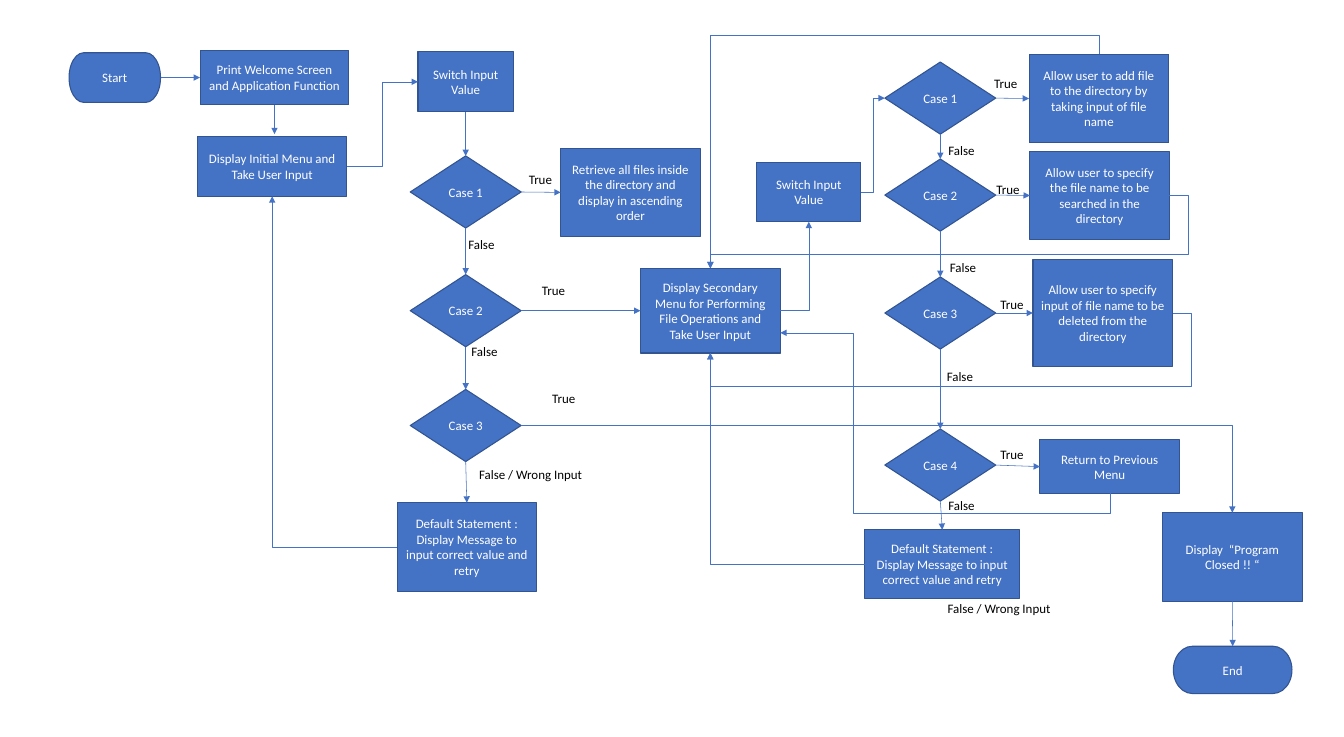
from lxml import etree
from pptx import Presentation
from pptx.dml.color import RGBColor
from pptx.enum.shapes import MSO_CONNECTOR, MSO_SHAPE
from pptx.enum.text import MSO_ANCHOR, PP_ALIGN
from pptx.oxml.ns import qn
from pptx.util import Inches, Pt

RECTANGLE = MSO_SHAPE.RECTANGLE
PROCESS = MSO_SHAPE.FLOWCHART_PROCESS
DECISION = MSO_SHAPE.FLOWCHART_DECISION
TERMINATOR = MSO_SHAPE.FLOWCHART_TERMINATOR
STRAIGHT, ELBOW = MSO_CONNECTOR.STRAIGHT, MSO_CONNECTOR.ELBOW
MIDDLE, CENTER, LEFT_ALIGNED = MSO_ANCHOR.MIDDLE, PP_ALIGN.CENTER, PP_ALIGN.LEFT
TOP, LEFT, BOTTOM, RIGHT = range(4)
BLUE, OUTLINE, WHITE, BLACK = "4472C4", "325491", "FFFFFF", "000000"
LEFT_CASES, RIGHT_CASES = 5.29, 11.41
CASE_WIDTH, CASE_HEIGHT = 1.43, 0.93
BOX_WIDTH, BOX_HEIGHT = 1.8, 1.14


def color(hex_value):
    return RGBColor.from_string(hex_value)


def write(shape, text, hex_value, alignment):
    shape.text_frame.text = text
    for paragraph in shape.text_frame.paragraphs:
        paragraph.alignment = alignment
        for run in paragraph.runs:
            run.font.name = "Calibri"
            run.font.size = Pt(12)
            run.font.color.rgb = color(hex_value)


presentation = Presentation()
presentation.slide_width = Inches(17.33)
presentation.slide_height = Inches(9.5)
slide = presentation.slides.add_slide(presentation.slide_layouts[6])

retry_text = "Default Statement : Display Message to input correct value and retry"
steps = [
    ("start", TERMINATOR, 0.89, 0.68, 1.18, 0.64, "Start"),
    ("welcome", RECTANGLE, 2.58, 0.65, 1.92, 0.7, "Print Welcome Screen and Application Function"),
    ("menu", RECTANGLE, 2.55, 1.76, 1.92, 0.77, "Display Initial Menu and Take User Input"),
    ("switch", RECTANGLE, 5.39, 0.67, 1.23, 0.77, "Switch Input\nValue"),
    ("retrieve", PROCESS, 7.23, 1.91, BOX_WIDTH, BOX_HEIGHT,
     "Retrieve all files inside the directory and display in ascending order"),
    ("retry", PROCESS, 5.12, 6.48, BOX_WIDTH, BOX_HEIGHT, retry_text),
    ("closed", PROCESS, 14.99, 6.61, BOX_WIDTH, BOX_HEIGHT, "Display  “Program Closed !! “"),
    ("end", TERMINATOR, 15.13, 8.33, 1.53, 0.61, "End"),
    ("file menu", PROCESS, 8.26, 3.46, BOX_WIDTH, 1.09,
     "Display Secondary Menu for Performing File Operations and Take User Input"),
    ("file switch", RECTANGLE, 9.76, 2.09, 1.34, 0.77, "Switch Input\nValue"),
    ("add", PROCESS, 13.27, 0.7, BOX_WIDTH, BOX_HEIGHT,
     "Allow user to add file to the directory by taking input of file name"),
    ("search", PROCESS, 13.28, 1.95, BOX_WIDTH, BOX_HEIGHT,
     "Allow user to specify the file name to be searched in the directory"),
    ("delete", PROCESS, 13.32, 3.35, BOX_WIDTH, 1.37,
     "Allow user to specify input of file name to be deleted from the directory"),
    ("return", PROCESS, 13.41, 5.67, BOX_WIDTH, 0.69, "Return to Previous Menu"),
    ("file retry", PROCESS, 11.15, 6.83, 2, 0.88, retry_text),
]
for prefix, left, tops in [("case", LEFT_CASES, (2.01, 3.54, 5.02)),
                           ("file case", RIGHT_CASES, (0.8, 2.05, 3.57, 5.53))]:
    for number, top in enumerate(tops, 1):
        steps.append((f"{prefix} {number}", DECISION, left, top,
                      CASE_WIDTH, CASE_HEIGHT, f"Case {number}"))

nodes = {}
for name, kind, left, top, width, height, text in steps:
    shape = slide.shapes.add_shape(kind, Inches(left), Inches(top), Inches(width), Inches(height))
    shape.shadow.inherit = False
    shape.fill.solid()
    shape.fill.fore_color.rgb = color(BLUE)
    shape.line.color.rgb = color(OUTLINE)
    shape.line.width = Pt(1)
    shape.text_frame.vertical_anchor = MIDDLE
    write(shape, text, WHITE, CENTER)
    nodes[name] = shape

straight_links = [
    ("start", RIGHT, "welcome", LEFT),
    ("switch", BOTTOM, "case 1", TOP), ("case 1", RIGHT, "retrieve", LEFT),
    ("case 1", BOTTOM, "case 2", TOP), ("case 2", BOTTOM, "case 3", TOP),
    ("case 3", BOTTOM, "retry", TOP), ("case 2", RIGHT, "file menu", LEFT),
    ("closed", BOTTOM, "end", TOP), ("file case 1", RIGHT, "add", LEFT),
    ("file case 2", RIGHT, "search", LEFT), ("file case 3", RIGHT, "delete", LEFT),
    ("file case 4", RIGHT, "return", LEFT), ("file case 1", BOTTOM, "file case 2", TOP),
    ("file case 2", BOTTOM, "file case 3", TOP), ("file case 3", BOTTOM, "file case 4", TOP),
    ("file case 4", BOTTOM, "file retry", TOP),
]
bent_links = [
    ("menu", RIGHT, "switch", LEFT, "bentConnector3", [0.5]),
    ("file switch", RIGHT, "file case 1", LEFT, "bentConnector3", [0.5]),
    ("retry", LEFT, "menu", BOTTOM, "bentConnector2", []),
    ("case 3", RIGHT, "closed", TOP, "bentConnector2", []),
    ("file retry", LEFT, "file menu", BOTTOM, "bentConnector2", []),
    ("file menu", RIGHT, "file switch", BOTTOM, "bentConnector2", []),
    ("delete", RIGHT, "file menu", BOTTOM, "bentConnector4", [-0.04, 1.83]),
    ("search", RIGHT, "file menu", TOP, "bentConnector4", [-0.04, 0.8]),
]
welcome_arrow = slide.shapes.add_connector(
    STRAIGHT, Inches(3.54), Inches(1.35), Inches(3.54), Inches(1.73))
welcome_arrow.begin_connect(nodes["welcome"], BOTTOM)
arrows = [welcome_arrow]
for source, source_side, target, target_side, *bend in straight_links + bent_links:
    connector = slide.shapes.add_connector(ELBOW if bend else STRAIGHT, 0, 0, 0, 0)
    connector.begin_connect(nodes[source], source_side)
    connector.end_connect(nodes[target], target_side)
    if bend:
        preset, adjustments = bend
        geometry = connector._element.spPr.find(qn("a:prstGeom"))
        geometry.set("prst", preset)
        guides = geometry.get_or_add_avLst()
        for number, share in enumerate(adjustments, 1):
            etree.SubElement(guides, qn("a:gd"), name=f"adj{number}",
                             fmla=f"val {round(share * 100000)}")
    arrows.append(connector)

return_routes = [
    [(14.17, 0.7), (14.17, 0.45), (9.16, 0.45), (9.16, 3.46)],
    [(14.31, 6.36), (14.31, 6.61), (11, 6.61), (11, 4.29), (10.06, 4.29)],
]
for corners in return_routes:
    first, *others = [(Inches(x), Inches(y)) for x, y in corners]
    builder = slide.shapes.build_freeform(*first)
    builder.add_line_segments(others, close=False)
    route = builder.convert_to_shape()
    route.fill.background()
    arrows.append(route)

for arrow in arrows:
    arrow.line.color.rgb = color(BLUE)
    arrow.line.width = Pt(0.5)
    etree.SubElement(arrow.line._get_or_add_ln(), qn("a:tailEnd"), type="triangle")
    etree.SubElement(arrow._element.spPr, qn("a:effectLst"))

labels = [
    ("True", 0.5, [(6.72, 2.16), (6.89, 3.6), (7.02, 4.99), (12.72, 0.93),
                   (12.75, 2.29), (12.8, 3.78), (12.8, 5.71)]),
    ("False", 0.54, [(5.94, 3), (5.98, 4.38), (12.13, 1.79), (12.15, 3.3),
                     (12.11, 4.7), (12.13, 6.36)]),
    ("False / Wrong Input", 1.54, [(6.08, 5.96), (12.12, 7.69)]),
]
for text, width, places in labels:
    for left, top in places:
        label = slide.shapes.add_textbox(Inches(left), Inches(top), Inches(width), Inches(0.3))
        label.text_frame.word_wrap = False
        write(label, text, BLACK, LEFT_ALIGNED)

presentation.save("out.pptx")
